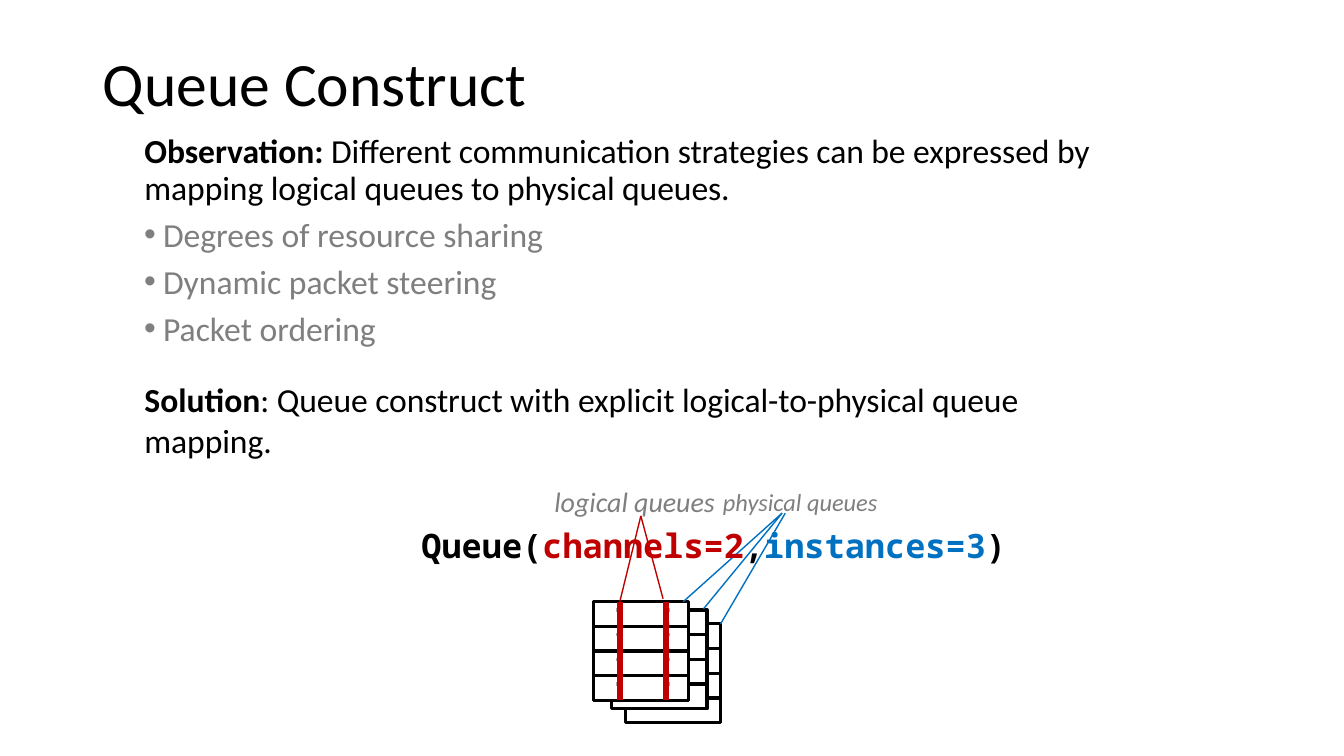
from lxml.etree import SubElement as Sub
from pptx import Presentation
from pptx.dml.color import RGBColor
from pptx.enum.shapes import MSO_CONNECTOR as Link, MSO_SHAPE as Form
from pptx.enum.text import MSO_ANCHOR as Anchor, MSO_AUTO_SIZE as Fit, PP_ALIGN as Align
from pptx.oxml.ns import qn
from pptx.util import Cm, Pt

BLACK, WHITE, GREY, RED, BLUE = "000000", "FFFFFF", "7F7F7F", "C00000", "0070C0"
SANS, MONO = "Calibri", "Noto Sans Mono"


def tint(hue):
    """Turn a hex string into a colour."""
    return RGBColor.from_string(hue)


def style(font, size=None, hue=None, name=None, bold=None, slant=None, track=None):
    """Set the given traits of a font."""
    if size:
        font.size = Pt(size)
    if hue:
        font.color.rgb = tint(hue)
    if name:
        font.name = name
    if bold is not None:
        font.bold = bold
    if slant is not None:
        font.italic = slant
    if track:
        font._element.set("spc", str(track))


def place(shape, box):
    """Move a shape to a box in centimetres."""
    shape.left, shape.top, shape.width, shape.height = map(Cm, box)


def add_para(frame, runs, left, before, hang=0, bullet=None, tab=None, **look):
    """Add a paragraph of (text, traits) runs with its indent and spacing."""
    first = frame.paragraphs[0]
    para = frame.add_paragraph() if first.runs else first
    para.alignment = Align.LEFT
    para.line_spacing = 1.0
    para.space_before = Pt(before)
    props = para._p.get_or_add_pPr()
    props.set("marL", str(Cm(left)))
    props.set("indent", str(Cm(-hang)))
    if bullet:
        Sub(props, qn("a:buFont"), typeface="Arial")
        Sub(props, qn("a:buChar"), char=bullet)
    else:
        Sub(props, qn("a:buNone"))
    if tab:
        Sub(Sub(props, qn("a:tabLst")), qn("a:tab"), pos=str(Cm(tab)), algn="l")
    style(para.font, **look)
    for text, traits in runs:
        run = para.add_run()
        run.text = text
        style(run.font, **traits)
    return para


def add_title(slide, box):
    """Fill the title placeholder."""
    title = slide.shapes.title
    place(title, box)
    frame = title.text_frame
    frame.text = "Queue Construct"
    frame.vertical_anchor = Anchor.MIDDLE
    para = frame.paragraphs[0]
    para.alignment = Align.LEFT
    para.line_spacing = 0.9
    style(para.font, 44, BLACK, SANS)


def add_body(slide, box):
    """Fill the body placeholder and bring it to the front."""
    body = slide.placeholders[1]
    place(body, box)
    frame = body.text_frame
    frame.auto_size = Fit.SHAPE_TO_FIT_TEXT
    frame.margin_left = frame.margin_bottom = 0
    frame.margin_top, frame.margin_right = Cm(0.15), Cm(1.6)
    plain = dict(size=24, hue=BLACK, name=SANS)
    strong, tight = dict(bold=True), dict(track=-5)
    claim = add_para(frame, [
        ("Observation: ", strong | tight),
        ("Different communication strategies can be expressed by "
         "mapping logical queues to physical queues.", tight)], 0.03, 4.2, **plain)
    claim.line_spacing = Pt(26)
    points = (("Degrees of resource sharing", 4.8), ("Dynamic packet steering", 4.8),
              ("Packet ordering", 5.2))
    for point, before in points:
        add_para(frame, [(point, {})], 0.5, before, 0.48, "•",
                 size=24, hue=GREY, name=SANS)
    add_para(frame, [
        ("Solution", strong),
        (": Queue construct with explicit logical-to-physical queue mapping.", tight)],
        0.03, 21.9, **plain)
    labels = add_para(frame, [("logical queues\t", tight), ("physical queues", dict(size=30))],
                      10.36, 7.5, tab=15.14, size=20, hue=GREY, name=SANS, slant=True)
    labels.runs[1].font._element.set("baseline", "1000")
    add_para(frame, [
        ("Queue(", {}), ("channels=2", dict(hue=RED)), (",", {}),
        ("instances=3", dict(hue=BLUE)), (")", {})],
        7.01, 2.8, size=24, hue=BLACK, name=MONO, bold=True)
    slide.shapes._spTree.append(body._element)


def add_line(slide, start, end, hue, width):
    """Draw a straight line between two points."""
    line = slide.shapes.add_connector(Link.STRAIGHT, *map(Cm, start + end))
    line.line.color.rgb = tint(hue)
    line.line.width = Pt(width)
    Sub(line._element.spPr, qn("a:effectLst"))


def add_cell(slide, box, solid):
    """Draw a white area without a line, or an outline without a fill."""
    cell = slide.shapes.add_shape(Form.RECTANGLE, *map(Cm, box))
    cell.shadow.inherit = False
    if solid:
        cell.fill.solid()
        cell.fill.fore_color.rgb = tint(WHITE)
        cell.line.fill.background()
    else:
        cell.fill.background()
        cell.line.color.rgb = tint(BLACK)
        cell.line.width = Pt(2.25)


def add_stack(slide, box, bars, front):
    """Draw one physical queue of four slots, its white parted at the bars."""
    left, top, wide, high = box
    row, right, gap = high / 4, left + wide, 0.08
    edges = [left, *(x + d for x in bars for d in (-gap, gap)), right]
    parts = [(max(a, left), b) for a, b in zip(edges[::2], edges[1::2]) if b > left]
    for i in range(4):
        y = top + i * row
        for a, b in parts if front or i < 3 else [(left, right)]:
            add_cell(slide, (a, y, b - a, row), True)
        add_cell(slide, (left, y, wide, row), False)


def add_queues(slide, box):
    """Draw the stacked queues, their channels and the pointer lines."""
    left, top, wide, high = box
    bars = [left + 0.66, left + 1.83]
    for dx, dy in ((0.8, 0.56), (0.46, 0.21), (0, 0)):
        add_stack(slide, (left + dx, top + dy, wide, high), bars, dx == 0)
    for x in bars:
        add_line(slide, (x, top), (x, top + high), RED, 4.5)
    rays = (
        (RED, 1.19, -2.16, 0.66, 0), (RED, 1.19, -2.16, 1.75, -0.07),
        (BLUE, 4.75, -2.23, 2.26, 0), (BLUE, 4.75, -2.23, 2.77, 0.18),
        (BLUE, 4.83, -2.23, 3.2, 0.56),
    )
    for hue, x, y, dx, dy in rays:
        add_line(slide, (left + x, top + y), (left + dx, top + dy), hue, 1)


def main():
    """Build and save the slide."""
    deck = Presentation()
    deck.slide_width, deck.slide_height = Cm(33.87), Cm(19.05)
    slide = deck.slides.add_slide(deck.slide_layouts[1])
    add_title(slide, (2.34, 1.02, 29.21, 2.31))
    add_queues(slide, (14.96, 15.16, 2.4, 2.49))
    add_body(slide, (3.61, 3.23, 26.57, 9.6))
    deck.save("out.pptx")


main()
